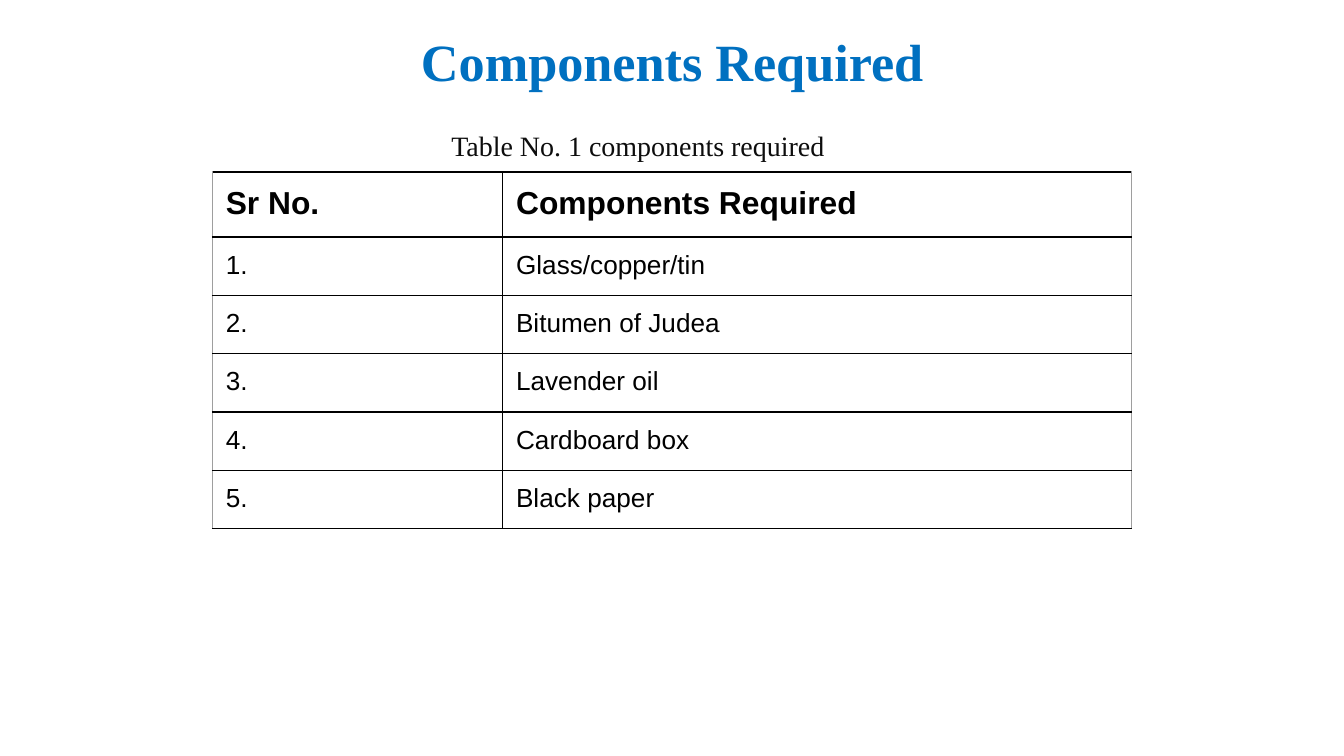
import pptx
import pptx.util
import pptx.dml.color
import pptx.enum.text
import pptx.oxml
import pptx.oxml.ns
from dataclasses import dataclass


@dataclass(frozen=True)
class Theme:
    serif: str = "Times New Roman"
    sans: str = "Arial"
    blue: str = "0070C0"
    black: str = "000000"
    soft_black: str = "0D0D0D"
    gray: str = "9E9E9E"
    title_size: int = 28
    caption_size: int = 15
    header_size: int = 17
    body_size: int = 14
    inset: float = 0.1
    border_width: float = 0.75


THEME = Theme()
PAGE_WIDTH = 10
PAGE_HEIGHT = PAGE_WIDTH * 9 / 16
COLUMN_WIDTHS = (2.16, 4.68)
ROW_HEIGHT = 0.42
HEADER = ("Sr No.", "Components Required")
COMPONENTS = ("Glass/copper/tin", "Bitumen of Judea", "Lavender oil",
              "Cardboard box", "Black paper")


def inches(*lengths):
    return [pptx.util.Inches(length) for length in lengths]


def write_text(frame, text, color, **font_format):
    """Put one formatted span in a text frame."""
    para = frame.paragraphs[0]
    span = para.add_run()
    span.text = text
    for name, value in font_format.items():
        setattr(span.font, name, value)
    span.font.color.rgb = pptx.dml.color.RGBColor.from_string(color)
    return para


def set_insets(target):
    for side in ("left", "top", "right", "bottom"):
        setattr(target, f"margin_{side}", pptx.util.Inches(THEME.inset))


def add_text_box(page, box, text, color, **font_format):
    frame = page.shapes.add_textbox(*inches(*box)).text_frame
    frame.word_wrap = True
    frame.vertical_anchor = pptx.enum.text.MSO_ANCHOR.TOP
    set_insets(frame)
    return write_text(frame, text, color, **font_format)


def set_borders(cell, colors):
    """Draw cell borders; colors maps L, R, T, B to a colour."""
    properties = cell._tc.get_or_add_tcPr()
    width = pptx.util.Pt(THEME.border_width)
    for position, (side, color) in enumerate(colors.items()):
        line = pptx.oxml.parse_xml(
            f'<a:ln{side} {pptx.oxml.ns.nsdecls("a")} w="{width}">'
            f'<a:solidFill><a:srgbClr val="{color}"/></a:solidFill>'
            f'</a:ln{side}>')
        properties.insert(position, line)


def add_title(page, box):
    para = add_text_box(page, box, "Components Required", THEME.blue,
                        name=THEME.serif, bold=True,
                        size=pptx.util.Pt(THEME.title_size))
    para.alignment = pptx.enum.text.PP_ALIGN.CENTER


def add_caption(page, box):
    para = add_text_box(page, box, "Table No. 1 components required",
                        THEME.soft_black, name=THEME.serif,
                        size=pptx.util.Pt(THEME.caption_size))
    para.line_spacing = 1.15


def add_components_table(page, box):
    rows = [HEADER] + [(f"{number}.", component)
                       for number, component in enumerate(COMPONENTS, 1)]
    holder = page.shapes.add_table(len(rows), len(COLUMN_WIDTHS), *inches(*box))
    table = holder.table
    table.horz_banding = False
    for column, width in zip(table.columns, COLUMN_WIDTHS):
        column.width = pptx.util.Inches(width)

    last_column = len(COLUMN_WIDTHS) - 1
    for row_index, row in enumerate(rows):
        table.rows[row_index].height = pptx.util.Inches(ROW_HEIGHT)
        is_header = row_index == 0
        size = THEME.header_size if is_header else THEME.body_size
        for column_index, text in enumerate(row):
            cell = table.cell(row_index, column_index)
            cell.fill.background()
            set_insets(cell)
            write_text(cell.text_frame, text, THEME.black, name=THEME.sans,
                       size=pptx.util.Pt(size), bold=is_header)
            # Outer sides are gray, all other borders black
            set_borders(cell, {
                "L": THEME.gray if column_index == 0 else THEME.black,
                "R": THEME.gray if column_index == last_column else THEME.black,
                "T": THEME.black,
                "B": THEME.black,
            })
    # Sizing rows and columns resizes the holder, so restore its box
    holder.width, holder.height = inches(*box[2:])


def main():
    deck = pptx.Presentation()
    deck.slide_width, deck.slide_height = inches(PAGE_WIDTH, PAGE_HEIGHT)
    page = deck.slides.add_slide(deck.slide_layouts[6])

    # Title, table and its caption
    margin = 0.034 * PAGE_WIDTH
    add_title(page, (margin, 0.12, PAGE_WIDTH - 2 * margin, 0.63))
    add_components_table(page, (1.58, 1.28, 3.28, 3.28))
    add_caption(page, (3.26, 0.88, 3.49, 0.14))

    deck.save("out.pptx")


if __name__ == "__main__":
    main()
